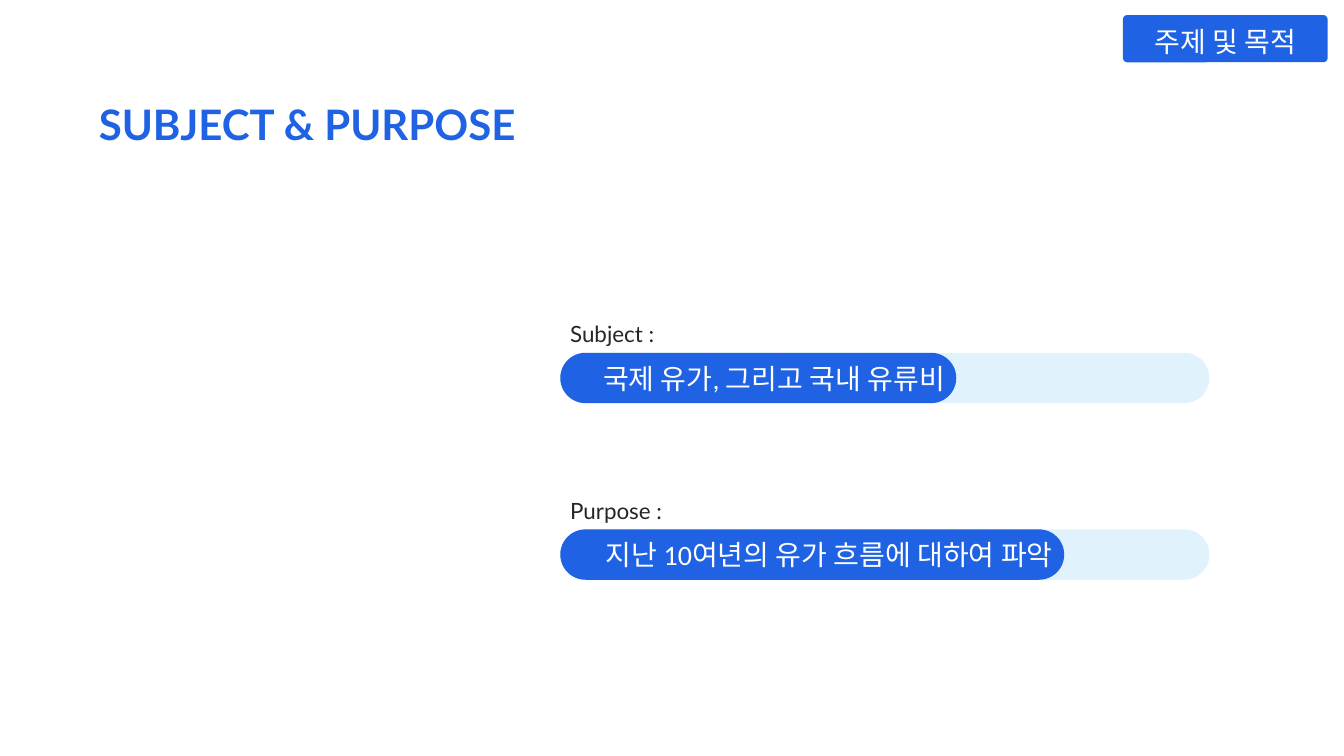
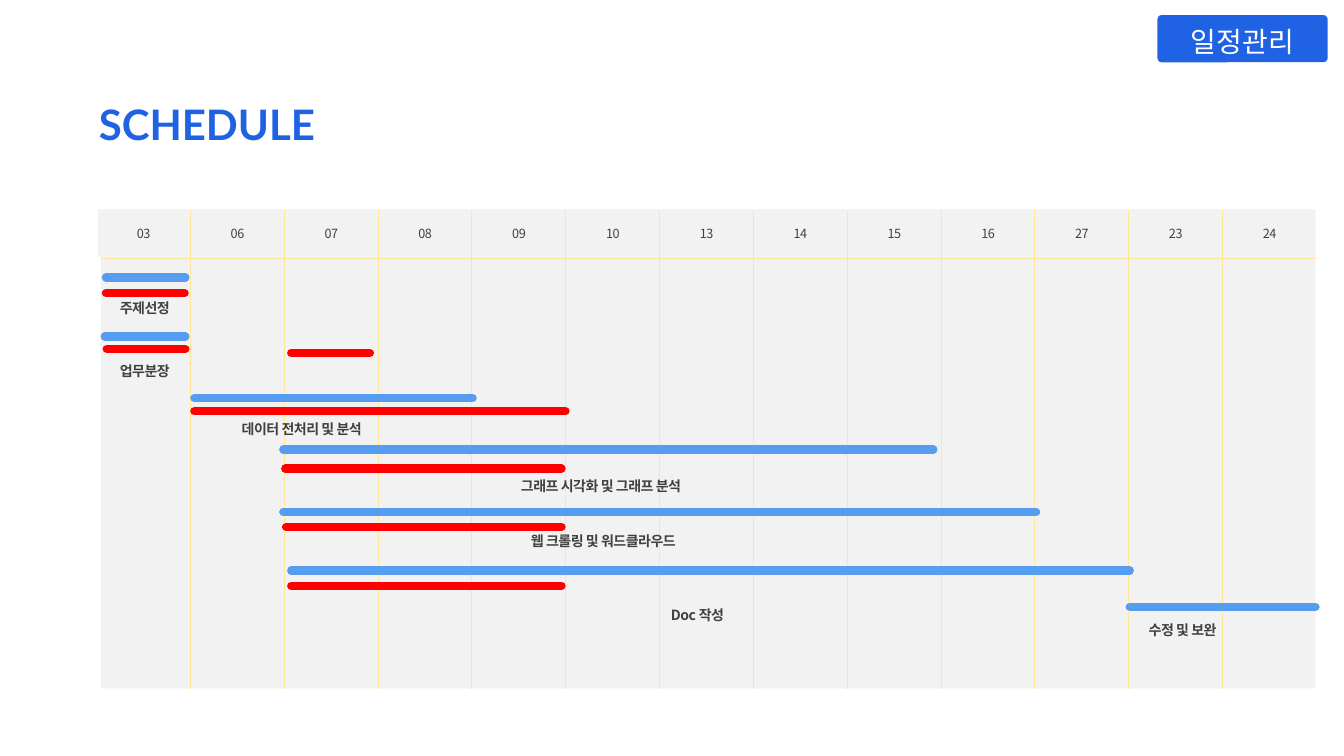
from lxml import etree
from pptx import Presentation
from pptx.dml.color import RGBColor
from pptx.enum.shapes import MSO_CONNECTOR, MSO_SHAPE
from pptx.enum.text import MSO_ANCHOR, MSO_AUTO_SIZE, PP_ALIGN
from pptx.oxml.ns import qn
from pptx.util import Cm, Pt

# Shared look
BLUE = RGBColor(0x1F, 0x62, 0xE3)
PALE_BLUE = RGBColor(0xC2, 0xE7, 0xFA)
PLAN_BLUE = RGBColor(0x56, 0x9C, 0xF0)
ACTUAL_RED = RGBColor(0xFF, 0x00, 0x00)
GRID_YELLOW = RGBColor(0xFF, 0xE6, 0x99)
BOARD_GREY = RGBColor(0xF2, 0xF2, 0xF2)
DARK_GREY = RGBColor(0x40, 0x40, 0x40)
BLACK = RGBColor(0x26, 0x26, 0x26)
WHITE = RGBColor(0xFF, 0xFF, 0xFF)
KOREAN_FONT = "Noto Sans CJK KR"
TAG_RIGHT = 33.46

# Subject and purpose: label, statement, top and width of the filled pill
PILL_LEFT, PILL_WIDTH, PILL_HEIGHT = 14.12, 16.36, 1.27
STATEMENTS = [
    ("Subject :", "국제 유가, 그리고 국내 유류비", 8.89, 9.98),
    ("Purpose :", "지난 10여년의 유가 흐름에 대하여 파악", 13.34, 12.7),
]

# Schedule board
DAYS = ["03", "06", "07", "08", "09", "10", "13", "14", "15", "16", "27", "23", "24"]
BOARD_LEFT, BOARD_TOP, BOARD_WIDTH, BOARD_HEIGHT = 2.54, 5.28, 30.61, 12.07
HEADER_HEIGHT = 1.19
FIRST_RULE, LAST_RULE = 4.8, 30.81
DAY_WIDTH = (LAST_RULE - FIRST_RULE) / (len(DAYS) - 2)

# Bars: start, end, height on the slide
PLANNED = [
    (2.67, 4.67, 6.99), (2.64, 4.67, 8.48), (4.9, 11.91, 10.03),
    (7.14, 23.52, 11.33), (7.14, 26.11, 12.9), (7.34, 28.47, 14.38),
    (28.47, 33.15, 15.29),
]
ACTUAL = [
    (2.67, 4.65, 7.39), (2.69, 4.67, 8.79), (7.34, 9.32, 8.89),
    (4.9, 14.25, 10.36), (7.19, 14.15, 11.81), (7.21, 14.15, 13.28),
    (7.34, 14.15, 14.76),
]
# Tasks: name, left, top, width
TASKS = [
    ("주제선정", 2.77, 7.39, 1.83),
    ("업무분장", 2.77, 8.97, 1.78),
    ("데이터 전처리 및 분석", 5.84, 10.44, 4.19),
    ("그래프 시각화 및 그래프 분석", 12.88, 11.86, 6.07),
    ("웹 크롤링 및 워드클라우드", 13.13, 13.26, 6.71),
    ("Doc 작성", 16.66, 15.11, 2.39),
    ("수정 및 보완", 28.7, 15.49, 6.71),
]


def write(frame, text, size, font, color, bold=False, align=PP_ALIGN.LEFT):
    """Set one paragraph and format it; Korean-font text is slightly tightened."""
    frame.text = text
    paragraph = frame.paragraphs[0]
    paragraph.alignment = align
    run = paragraph.runs[0]
    run.font.size = Pt(size)
    run.font.name = font
    run.font.bold = bold
    run.font.color.rgb = color
    if font == KOREAN_FONT:
        properties = run._r.get_or_add_rPr()
        properties.set("spc", "-30")
        east_asian = etree.Element(qn("a:ea"), typeface=font)
        properties.find(qn("a:latin")).addnext(east_asian)
    return paragraph


def set_margins(frame, side, top):
    frame.margin_left = frame.margin_right = Cm(side)
    frame.margin_top = frame.margin_bottom = Cm(top)


def add_box(slide, kind, left, top, width, height, fill):
    box = slide.shapes.add_shape(kind, Cm(left), Cm(top), Cm(width), Cm(height))
    box.shadow.inherit = False
    box.fill.solid()
    box.fill.fore_color.rgb = fill
    box.line.fill.background()
    return box


def add_label(slide, text, left, top, width, height, size, font, color, bold=False):
    label = slide.shapes.add_textbox(Cm(left), Cm(top), Cm(width), Cm(height))
    label.text_frame.word_wrap = True
    label.text_frame.auto_size = MSO_AUTO_SIZE.SHAPE_TO_FIT_TEXT
    return write(label.text_frame, text, size, font, color, bold)


def add_line(slide, x1, y1, x2, y2, color, width, rounded=False):
    line = slide.shapes.add_connector(
        MSO_CONNECTOR.STRAIGHT, Cm(x1), Cm(y1), Cm(x2), Cm(y2))
    line.line.color.rgb = color
    line.line.width = Pt(width)
    if rounded:
        line.line._get_or_add_ln().set("cap", "rnd")
    etree.SubElement(line._element.spPr, qn("a:effectLst"))


def add_pill(slide, top, width, fill):
    pill = add_box(slide, MSO_SHAPE.ROUNDED_RECTANGLE,
                   PILL_LEFT, top, width, PILL_HEIGHT, fill)
    pill.adjustments[0] = 0.5
    return pill


def add_titled_slide(deck, title_text, tag_text, tag_width):
    """Start a slide with its title and the tag in the top right corner."""
    slide = deck.slides.add_slide(deck.slide_layouts[5])
    title = slide.shapes.title
    title.left, title.top, title.width, title.height = (
        Cm(2.49), Cm(2.49), Cm(11.89), Cm(1.27))
    frame = title.text_frame
    set_margins(frame, 0, 0)
    frame.vertical_anchor = MSO_ANCHOR.TOP
    frame.word_wrap = True
    write(frame, title_text, 30, "Lato", BLUE, bold=True)

    tag = add_box(slide, MSO_SHAPE.ROUNDED_RECTANGLE,
                  TAG_RIGHT - tag_width, 0.38, tag_width, 1.19, BLUE)
    tag.adjustments[0] = 0.09
    set_margins(tag.text_frame, 0.25, 0.2)
    tag.text_frame.margin_bottom = 0
    tag.text_frame.vertical_anchor = MSO_ANCHOR.TOP
    write(tag.text_frame, tag_text, 20, "Roboto", WHITE, align=PP_ALIGN.CENTER)
    return slide


def add_statement(slide, heading, statement, top, width):
    """A heading above a pale track that is partly filled by the statement."""
    track = add_pill(slide, top, PILL_WIDTH, PALE_BLUE)
    tint = track._element.spPr.find(qn("a:solidFill")).find(qn("a:srgbClr"))
    etree.SubElement(tint, qn("a:alpha"), val="50000")

    frame = add_pill(slide, top, width, BLUE).text_frame
    set_margins(frame, 0.1, 0.1)
    frame.vertical_anchor = MSO_ANCHOR.MIDDLE
    write(frame, statement, 20, "Calibri", WHITE, align=PP_ALIGN.RIGHT)
    add_label(slide, heading, PILL_LEFT, top - 0.94, 3.81, 0.94, 16, "Lato", BLACK)


def add_board(slide):
    """Grey board with a day header and the grid rules."""
    add_box(slide, MSO_SHAPE.RECTANGLE, BOARD_LEFT, BOARD_TOP,
            BOARD_WIDTH, BOARD_HEIGHT, BOARD_GREY)
    for column, day in enumerate(DAYS):
        left = FIRST_RULE + (column - 1) * DAY_WIDTH + 0.03
        cell = add_box(slide, MSO_SHAPE.RECTANGLE, left, BOARD_TOP,
                       2.31, HEADER_HEIGHT, BOARD_GREY)
        cell.text_frame.word_wrap = False
        cell.text_frame.vertical_anchor = MSO_ANCHOR.MIDDLE
        write(cell.text_frame, day, 9, KOREAN_FONT, DARK_GREY, align=PP_ALIGN.CENTER)

    header_bottom = BOARD_TOP + HEADER_HEIGHT + 0.03
    add_line(slide, BOARD_LEFT, header_bottom, BOARD_LEFT + BOARD_WIDTH + 0.05,
             header_bottom, GRID_YELLOW, 0.5)
    for column in range(len(DAYS) - 1):
        x = FIRST_RULE + column * DAY_WIDTH
        add_line(slide, x, BOARD_TOP, x, BOARD_TOP + BOARD_HEIGHT, GRID_YELLOW, 0.75)


def add_bars(slide, bars, color):
    for start, end, y in bars:
        add_line(slide, start, y, end, y, color, 6, rounded=True)


def main():
    deck = Presentation()
    deck.slide_width, deck.slide_height = Cm(33.87), Cm(19.05)

    # Subject and purpose
    purpose = add_titled_slide(deck, "SUBJECT & PURPOSE", "주제 및 목적", 5.16)
    for statement in STATEMENTS:
        add_statement(purpose, *statement)

    # Schedule
    schedule = add_titled_slide(deck, "SCHEDULE", "일정관리", 4.29)
    add_board(schedule)
    for task, left, top, width in TASKS:
        paragraph = add_label(schedule, task, left, top, width, 0.69,
                              10, KOREAN_FONT, DARK_GREY, bold=True)
        paragraph.line_spacing = 1.1
    add_bars(schedule, PLANNED, PLAN_BLUE)
    add_bars(schedule, ACTUAL, ACTUAL_RED)

    deck.save("out.pptx")


if __name__ == "__main__":
    main()
